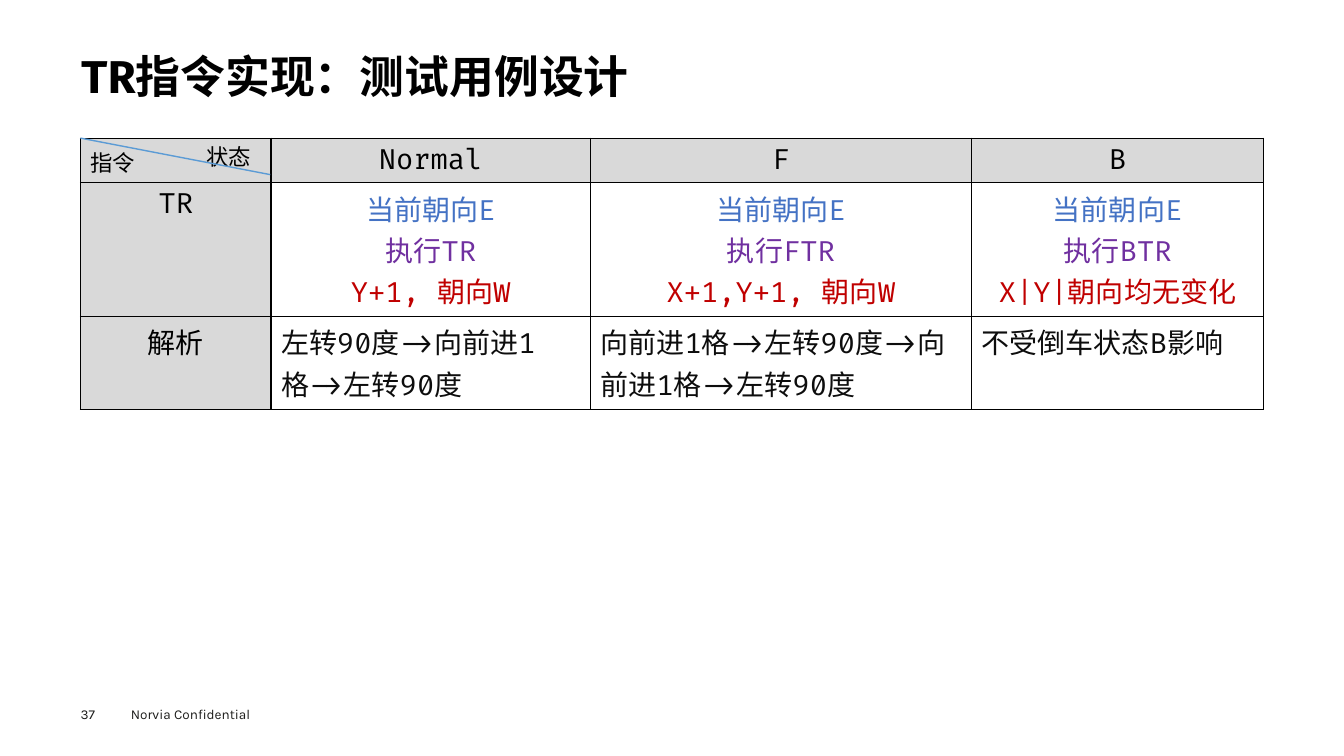
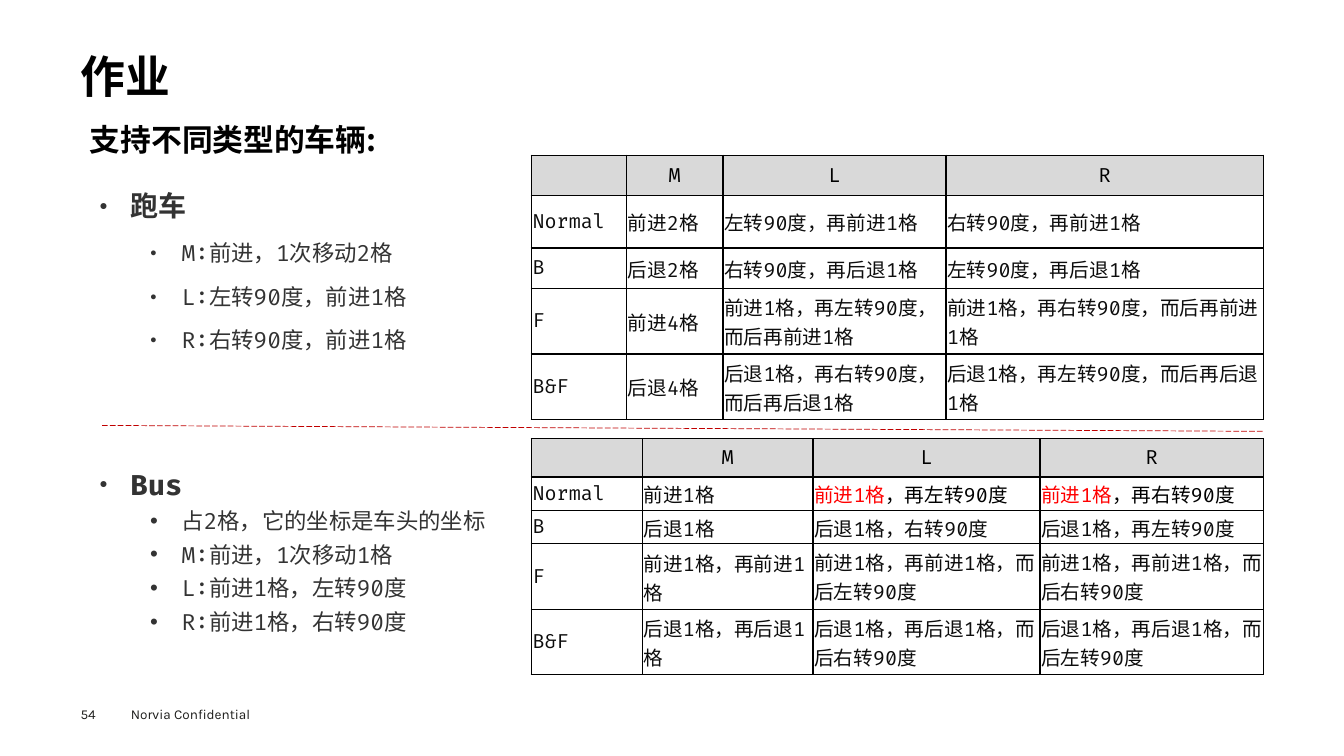
from dataclasses import dataclass

from pptx import Presentation
from pptx.dml.color import RGBColor as Rgb
from pptx.enum.dml import MSO_LINE as Dash
from pptx.enum.shapes import MSO_CONNECTOR as Connector
from pptx.enum.text import MSO_ANCHOR as Anchor, MSO_AUTO_SIZE as AutoSize, PP_ALIGN as Align
from pptx.oxml import parse_xml
from pptx.oxml.ns import nsdecls, qn
from pptx.util import Cm, Pt


@dataclass(frozen=True)
class Theme:
    code: str = "Fira Code"
    chinese: str = "Noto Sans CJK SC"
    small_print: str = "Karla"
    black: str = "000000"
    ink: str = "0D0D0D"
    grey_text: str = "333333"
    footer: str = "1D1D1B"
    header: str = "D9D9D9"
    white: str = "FFFFFF"
    blue: str = "4472C4"
    purple: str = "7030A0"
    dark_red: str = "C00000"
    red: str = "FF0000"
    diagonal: str = "5B9BD5"
    title_pt: float = 32
    heading_pt: float = 22
    large_pt: float = 20
    label_pt: float = 16
    table_pt: float = 14
    footer_pt: float = 9.7


theme = Theme()
LEFT, WIDTH = 2.03, 29.79
NO_INSET = dict.fromkeys(("margin_left", "margin_top", "margin_right", "margin_bottom"), 0)


def write(paragraph, runs, size, bold=False, font=theme.code, **layout):
    """Fill a paragraph with (text, colour) runs and apply its paragraph format."""
    for key, value in layout.items():
        setattr(paragraph, key, value)
    for text, colour in runs:
        run = paragraph.add_run()
        run.text = text
        run.font.color.rgb = Rgb.from_string(colour)
        for key, value in {"size": Pt(size), "bold": bold, "name": font}.items():
            setattr(run.font, key, value)
        latin = run._r.get_or_add_rPr().find(qn("a:latin"))
        latin.addnext(parse_xml(f'<a:ea {nsdecls("a")} typeface="{theme.chinese}"/>'))


def add_grid(slide, top, left, widths, heights, rows, size, header_column, cell_format):
    """Draw a bordered table; a cell is a string or a list of paragraphs made of runs."""
    table = slide.shapes.add_table(len(rows), len(widths), Cm(left), Cm(top),
                                   Cm(sum(widths)), Cm(sum(heights))).table
    table.first_row = table.horz_banding = False
    for column, width in zip(table.columns, widths):
        column.width = Cm(width)
    for row, height in zip(table.rows, heights):
        row.height = Cm(height)
    for r, row in enumerate(rows):
        for c, content in enumerate(row):
            cell = table.cell(r, c)
            for key, value in cell_format.items():
                setattr(cell, key, value)
            is_header = r == 0 or (header_column and c == 0)
            # Borders come before the fill in the cell properties
            for side in ("lnL", "lnR", "lnT", "lnB"):
                cell._tc.get_or_add_tcPr().append(parse_xml(
                    f'<a:{side} {nsdecls("a")} w="12700"><a:solidFill>'
                    f'<a:srgbClr val="{theme.black}"/></a:solidFill></a:{side}>'))
            cell.fill.solid()
            cell.fill.fore_color.rgb = Rgb.from_string(theme.header if is_header else theme.white)
            if not content:
                continue
            if isinstance(content, str):
                content = [[(content, theme.black if is_header else theme.ink)]]
            centred = is_header or len(content) > 1
            for i, runs in enumerate(content):
                paragraph = cell.text_frame.paragraphs[0] if i == 0 else cell.text_frame.add_paragraph()
                write(paragraph, runs, size, alignment=Align.CENTER if centred else Align.LEFT)


deck = Presentation()
deck.slide_width, deck.slide_height = Cm(33.87), Cm(19.05)
TITLE_ONLY, COMPARISON = deck.slide_layouts[5], deck.slide_layouts[4]
test_design = deck.slides.add_slide(TITLE_ONLY)
homework = deck.slides.add_slide(COMPARISON)

# Titles and footers
for slide, title, page in ((test_design, "TR指令实现：测试用例设计", "37"), (homework, "作业", "54")):
    heading = slide.shapes.title
    heading.left, heading.top, heading.width, heading.height = Cm(LEFT), Cm(1.24), Cm(WIDTH), Cm(1.35)
    for key, value in {**NO_INSET, "vertical_anchor": Anchor.BOTTOM,
                       "auto_size": AutoSize.NONE, "word_wrap": True}.items():
        setattr(heading.text_frame, key, value)
    write(heading.text_frame.paragraphs[0], [(title, theme.black)], theme.title_pt, bold=True,
          alignment=Align.LEFT, line_spacing=0.9)
    for text, left, width in ((page, LEFT, 1.2), ("Norvia Confidential", 3.3, 4)):
        footer = slide.shapes.add_textbox(Cm(left), Cm(17.78), Cm(width), Cm(0.41)).text_frame
        for key, value in {**NO_INSET, "word_wrap": True}.items():
            setattr(footer, key, value)
        write(footer.paragraphs[0], [(text, theme.footer)], theme.footer_pt, font=theme.small_print)

# Test cases: where the car faces, what runs, what results
cases = [
    [[(line, colour)] for line, colour in zip(lines, (theme.blue, theme.purple, theme.dark_red))]
    for lines in (
        ("当前朝向E", "执行TR", "Y+1, 朝向W"),
        ("当前朝向E", "执行FTR", "X+1,Y+1, 朝向W"),
        ("当前朝向E", "执行BTR", "X|Y|朝向均无变化"),
    )
]
add_grid(test_design, 3.48, LEFT, (4.8, 8.05, 9.6, 7.37), (1.12, 3.37, 2.34), [
    ("", "Normal", "F", "B"),
    ("TR", *cases),
    ("解析", "左转90度->向前进1格->左转90度",
     "向前进1格->左转90度->向前进1格->左转90度", "不受倒车状态B影响"),
], theme.large_pt, True, {})

# Labels of the split corner cell
for text, left, top in (("指令", LEFT, 3.63), ("状态", 4.95, 3.48)):
    label = test_design.shapes.add_textbox(Cm(left), Cm(top), Cm(1.88), Cm(0.94)).text_frame
    label.word_wrap = True
    write(label.paragraphs[0], [(text, theme.black)], theme.label_pt, font=theme.chinese)

# Homework: heading and the two vehicle lists
small_dot, dot = ("●", 50), ("•", 100)
vehicle_lists = {
    2: (4.42, 5.4, 7.2, small_dot,
        ("跑车", "M:前进，1次移动2格", "L:左转90度，前进1格", "R:右转90度，前进1格")),
    4: (11.43, 5.4, 0, dot,
        ("Bus", "占2格，它的坐标是车头的坐标", "M:前进，1次移动1格",
         "L:前进1格，左转90度", "R:前进1格，右转90度")),
}
bodies = {shape.placeholder_format.idx: shape for shape in homework.placeholders}
unused = bodies.pop(3)._element
unused.getparent().remove(unused)
places = {1: (2.01, 2.95, 11, 1.3)}
places.update({idx: (1.14, top, 13.4, height)
               for idx, (top, height, *_) in vehicle_lists.items()})
for idx, place in places.items():
    body = bodies[idx]
    body.left, body.top, body.width, body.height = map(Cm, place)
    for key, value in {"vertical_anchor": Anchor.TOP, "auto_size": AutoSize.NONE,
                       "word_wrap": True}.items():
        setattr(body.text_frame, key, value)

topic = bodies[1].text_frame
topic.margin_top = Cm(0.1)
write(topic.paragraphs[0], [("支持不同类型的车辆:", theme.black)], theme.heading_pt, bold=True,
      font=theme.chinese, alignment=Align.JUSTIFY, line_spacing=1.0, space_before=Pt(0))

for idx, (_, _, gap, item_dot, lines) in vehicle_lists.items():
    frame = bodies[idx].text_frame
    for i, line in enumerate(lines):
        is_vehicle = i == 0
        paragraph = frame.paragraphs[0] if is_vehicle else frame.add_paragraph()
        mark, percent = small_dot if is_vehicle else item_dot
        properties = paragraph._p.get_or_add_pPr()
        properties.set("marL", str(Cm(1.9 if is_vehicle else 3.18)))
        properties.set("indent", str(Cm(-0.79)))
        properties.append(parse_xml(f'<a:buSzPct {nsdecls("a")} val="{percent * 1000}"/>'))
        properties.append(parse_xml(f'<a:buChar {nsdecls("a")} char="{mark}"/>'))
        write(paragraph, [(line, theme.grey_text)],
              theme.large_pt if is_vehicle else theme.label_pt, bold=is_vehicle,
              level=1 if is_vehicle else 2, line_spacing=1.25,
              space_before=Pt(0 if is_vehicle else gap))

# Homework: command tables, sports car above bus
tight_cell = {"margin_left": Cm(0.03), "margin_top": Cm(0.03), "margin_right": Cm(0.03),
              "margin_bottom": 0, "vertical_anchor": Anchor.MIDDLE}
commands = ("", "M", "L", "R")
bus_turns = [[[("前进1格", theme.red), (f"，再{side}转90度", theme.black)]] for side in "左右"]
for top, widths, heights, rows in (
    (3.91, (2.4, 2.43, 5.62, 8), (1.02, 1.32, 1.02, 1.65, 1.65), [
        commands,
        ("Normal", "前进2格", "左转90度，再前进1格", "右转90度，再前进1格"),
        ("B", "后退2格", "右转90度，再后退1格", "左转90度，再后退1格"),
        ("F", "前进4格", "前进1格，再左转90度，而后再前进1格", "前进1格，再右转90度，而后再前进1格"),
        ("B&F", "后退4格", "后退1格，再右转90度，而后再后退1格", "后退1格，再左转90度，而后再后退1格"),
    ]),
    (11.05, (2.8, 4.3, 5.72, 5.63), (0.97, 0.84, 0.84, 1.65, 1.65), [
        commands,
        ("Normal", "前进1格", *bus_turns),
        ("B", "后退1格", "后退1格，右转90度", "后退1格，再左转90度"),
        ("F", "前进1格，再前进1格", "前进1格，再前进1格，而后左转90度", "前进1格，再前进1格，而后右转90度"),
        ("B&F", "后退1格，再后退1格", "后退1格，再后退1格，而后右转90度", "后退1格，再后退1格，而后左转90度"),
    ]),
):
    add_grid(homework, top, 13.39, widths, heights, rows, theme.table_pt, False, tight_cell)

# Corner diagonal and the divider between the vehicles
for slide, ends, colour, width, dash in (
    (test_design, (LEFT, 3.48, 6.81, 4.4), theme.diagonal, 1, Dash.SOLID),
    (homework, (31.82, 10.87, 2.57, 10.72), theme.dark_red, 0.5, Dash.LONG_DASH),
):
    rule = slide.shapes.add_connector(Connector.STRAIGHT, *map(Cm, ends))
    rule.line.color.rgb = Rgb.from_string(colour)
    rule.line.width = Pt(width)
    rule.line.dash_style = dash
    rule._element.spPr.append(parse_xml(f'<a:effectLst {nsdecls("a")}/>'))

deck.save("out.pptx")
